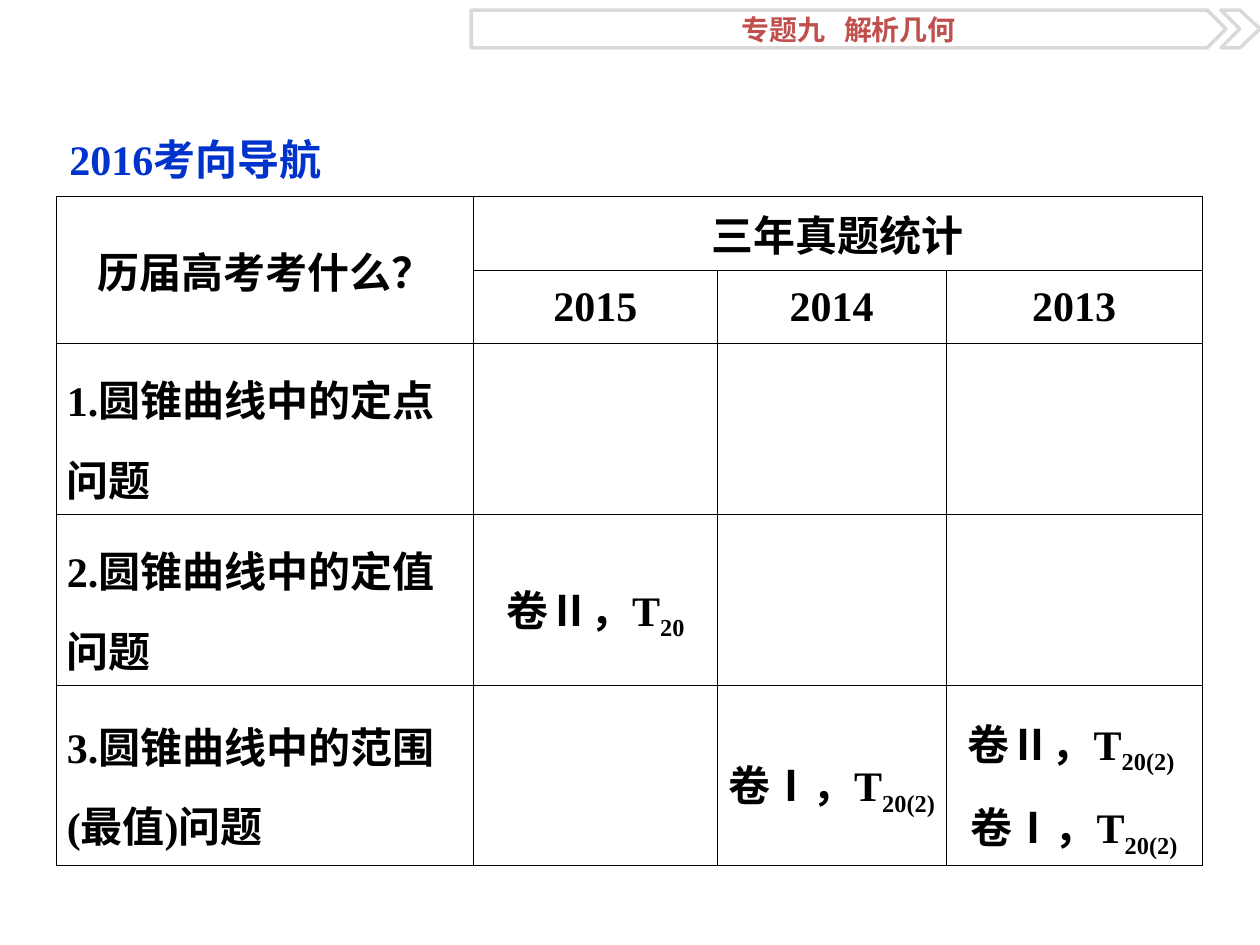
from lxml.etree import SubElement
from pptx import Presentation
from pptx.dml.color import RGBColor
from pptx.enum.lang import MSO_LANGUAGE_ID as Language
from pptx.enum.text import MSO_ANCHOR as Anchor, MSO_AUTO_SIZE as AutoSize, PP_ALIGN as Align
from pptx.oxml.ns import qn
from pptx.util import Inches, Pt

LATIN, HAN = "Times New Roman", "Noto Sans CJK SC"
BODY = {"size": Pt(24), "bold": True, "name": LATIN}
COLUMNS = [3.31, 1.93, 1.82, 2.03]
ROWS = [0.4, 0.4, 1.21, 1.04, 1.18]
HEADERS = {
    (0, 0): "历届高考考什么？",
    (0, 1): "三年真题统计",
    (1, 1): "2015",
    (1, 2): "2014",
    (1, 3): "2013",
}
TOPICS = ["1.圆锥曲线中的定点问题", "2.圆锥曲线中的定值问题", "3.圆锥曲线中的范围(最值)问题"]
QUESTIONS = {
    (3, 1): [("Ⅱ", "20")],
    (4, 2): [("Ⅰ", "20(2)")],
    (4, 3): [("Ⅱ", "20(2) "), ("Ⅰ", "20(2)")],
}


def color(value):
    """Turn a hex string into a colour."""
    return RGBColor.from_string(value)


def apply(target, values):
    """Set each attribute in the dict on the target."""
    for name, value in values.items():
        setattr(target, name, value)


def add_span(para, text, ink="000000", subscript=False, **changes):
    """Add one formatted run to a paragraph."""
    span = para.add_run()
    span.text = text
    apply(span.font, {**BODY, "language_id": Language.SIMPLIFIED_CHINESE, **changes})
    span.font.color.rgb = color(ink)
    properties = span._r.get_or_add_rPr()
    SubElement(properties, qn("a:ea"), typeface=HAN)
    if subscript:
        properties.set("baseline", "-25000")


def add_outline(page, points):
    """Draw a closed white shape with a grey line through points in inches."""
    corners = [(Inches(x), Inches(y)) for x, y in points]
    builder = page.shapes.build_freeform(*corners[0])
    builder.add_line_segments(corners[1:], close=True)
    shape = builder.convert_to_shape()
    shape.shadow.inherit = False
    shape.fill.solid()
    shape.fill.fore_color.rgb = color("FFFFFF")
    shape.line.color.rgb = color("D9D9D9")
    shape.line.width = Pt(2)
    return shape


def add_banner(page, left, top, width, height):
    """Draw the chapter arrow and the chevron that follows it."""
    half, right, tip = height / 2, left + width, 0.15
    middle, bottom = top + half, top + height
    arrow = add_outline(page, [
        (left, top), (right - tip, top), (right, middle), (right - tip, bottom), (left, bottom),
    ])
    frame = arrow.text_frame
    apply(frame, {"vertical_anchor": Anchor.MIDDLE, "word_wrap": True})
    para = frame.paragraphs[0]
    para.alignment = Align.CENTER
    add_span(para, "专题九   解析几何", "C0504D", size=Pt(16))
    start = right - 0.04
    add_outline(page, [
        (start, top), (start + tip, top), (start + 0.31, middle),
        (start + tip, bottom), (start, bottom), (start + tip, middle),
    ])


def add_heading(page, left, top, width, height):
    """Place the heading in the title placeholder."""
    title = page.shapes.title
    apply(title, {"left": Inches(left), "top": Inches(top),
                  "width": Inches(width), "height": Inches(height)})
    frame = title.text_frame
    apply(frame, {"margin_left": 0, "margin_right": 0, "margin_top": 0, "margin_bottom": 0,
                  "word_wrap": True, "auto_size": AutoSize.NONE, "vertical_anchor": Anchor.TOP})
    para = frame.paragraphs[0]
    apply(para, {"alignment": Align.LEFT, "line_spacing": 1.3})
    add_span(para, "2016考向导航", "0033CC")


def format_cell(cell, margin):
    """Give a cell no fill, thin black borders and its margins."""
    apply(cell, {"vertical_anchor": Anchor.MIDDLE, "margin_left": Inches(margin),
                 "margin_right": Inches(margin)})
    properties = cell._tc.get_or_add_tcPr()
    for side in ("lnL", "lnR", "lnT", "lnB"):
        line = SubElement(properties, qn(f"a:{side}"), w=str(Pt(0.45)))
        SubElement(SubElement(line, qn("a:solidFill")), qn("a:srgbClr"), val="000000")
    cell.fill.background()


def add_statistics(page, left, top, width, height):
    """Build the table of exam topics and the questions of three years."""
    table = page.shapes.add_table(
        len(ROWS), len(COLUMNS), Inches(left), Inches(top), Inches(width), Inches(height)
    ).table
    apply(table, {"first_row": False, "horz_banding": False})
    for column, size in zip(table.columns, COLUMNS):
        column.width = Inches(size)
    for row_index, (row, size) in enumerate(zip(table.rows, ROWS)):
        row.height = Inches(size)
        for cell in row.cells:
            format_cell(cell, 0.07 if row_index < 2 else 0.08)
    table.cell(0, 0).merge(table.cell(1, 0))
    table.cell(0, 1).merge(table.cell(0, 3))
    for place, text in HEADERS.items():
        para = table.cell(*place).text_frame.paragraphs[0]
        para.alignment = Align.CENTER
        add_span(para, text)
    for row_index, text in enumerate(TOPICS, 2):
        para = table.cell(row_index, 0).text_frame.paragraphs[0]
        para.line_spacing = 1.3
        add_span(para, text)
    for place, entries in QUESTIONS.items():
        frame = table.cell(*place).text_frame
        for index, (volume, question) in enumerate(entries):
            para = frame.add_paragraph() if index else frame.paragraphs[0]
            apply(para, {"alignment": Align.CENTER, "line_spacing": 1.3})
            add_span(para, "卷")
            add_span(para, volume, name=HAN)
            add_span(para, "，T")
            add_span(para, question, subscript=True)


def main():
    """Build the slide and save the deck."""
    deck = Presentation()
    apply(deck, {"slide_width": Inches(10), "slide_height": Inches(7.5)})
    page = deck.slides.add_slide(deck.slide_layouts[5])
    add_banner(page, 3.74, 0.08, 5.99, 0.3)
    add_heading(page, 0.55, 0.94, 8.91, 0.52)
    add_statistics(page, 0.45, 1.56, sum(COLUMNS), sum(ROWS))
    deck.save("out.pptx")


if __name__ == "__main__":
    main()
